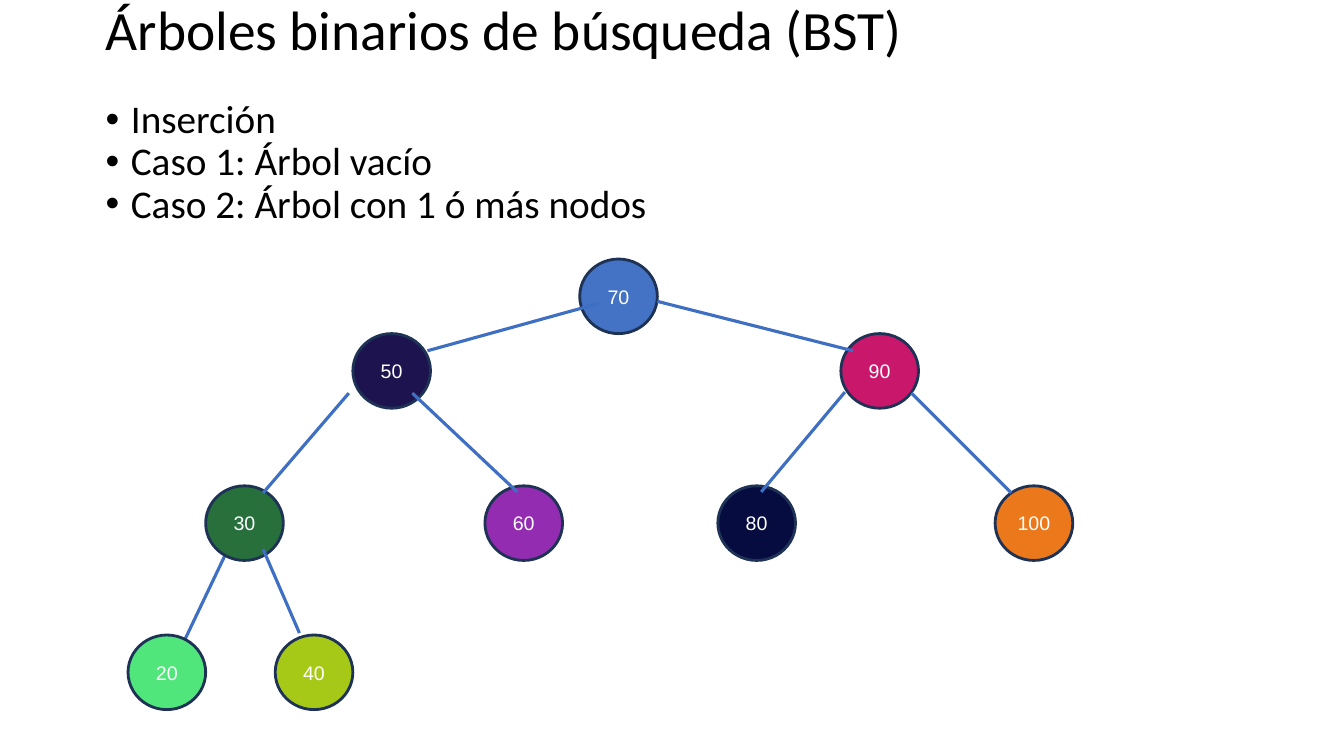
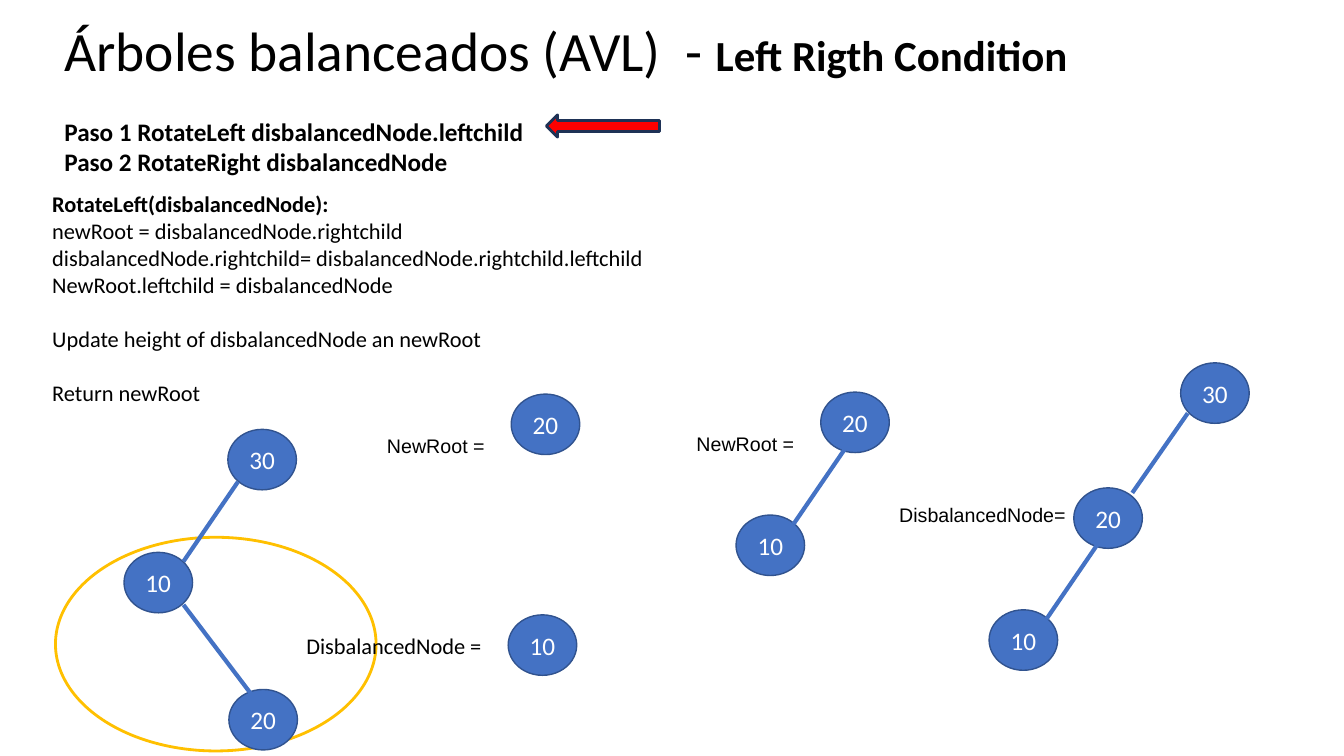
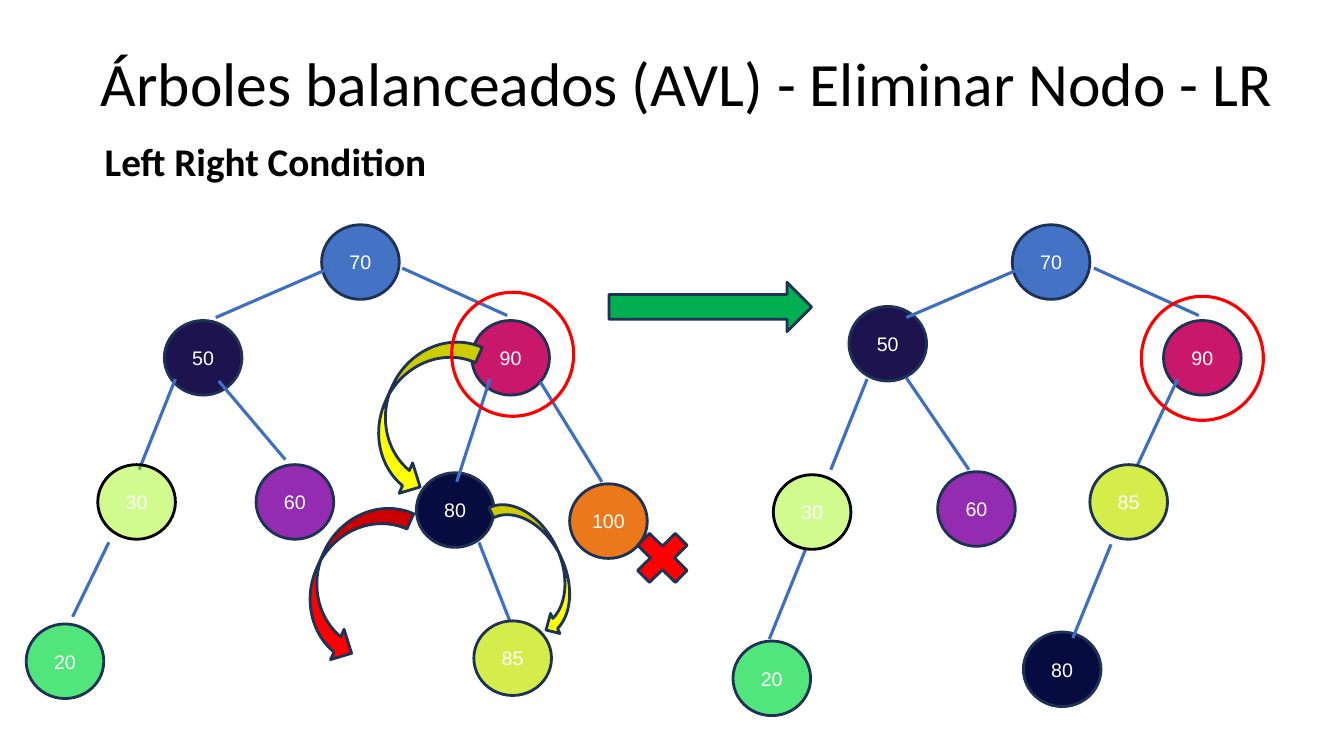
import lxml.etree
import pptx
import pptx.dml.color
import pptx.enum.shapes
import pptx.enum.text
import pptx.oxml.ns
import pptx.util

Inches = pptx.util.Inches
Pt = pptx.util.Pt
hex_rgb = pptx.dml.color.RGBColor.from_string
qn = pptx.oxml.ns.qn
kinds = pptx.enum.shapes.MSO_SHAPE
align = pptx.enum.text.PP_ALIGN
anchor = pptx.enum.text.MSO_ANCHOR

BLACK, WHITE, RED, YELLOW = "000000", "FFFFFF", "FF0000", "FFFF00"
NAVY, BLUE, EDGE = "1E3256", "4472C4", "3F6FC3"
HUES = {
    70: BLUE, 50: "1D144F", 90: "C9186B", 30: "27703C", 60: "932CB0",
    80: "060B40", 100: "EB781A", 20: "50E67B", 40: "A6C918", 85: "D5ED4A",
}
NODE = (0.77, 0.74)
DISC = (0.68, 0.6)

TITLE = {"name": "Calibri", "size": Pt(39.6)}
BODY = {"name": "Calibri", "size": Pt(28)}
STEP = {"name": "Calibri", "size": Pt(18), "bold": True}
CODE = {"name": "Calibri", "size": Pt(16)}
LABEL = {"name": "Arial", "size": Pt(14)}
VALUE = {"name": "Calibri", "size": Pt(18)}


def put(slide, at, lines=(), look=LABEL, kind=None, fill=None, line=NAVY,
        wide=2, mid=False, lead=None):
    """Add a preset shape, or a text box when no kind is given."""
    at = [Inches(val) for val in at]
    if kind is None:
        shape = slide.shapes.add_textbox(*at)
    else:
        shape = slide.shapes.add_shape(kind, *at)
        shape.shadow.inherit = False
        if fill:
            shape.fill.solid()
            shape.fill.fore_color.rgb = hex_rgb(fill)
        else:
            shape.fill.background()
        shape.line.color.rgb = hex_rgb(line)
        shape.line.width = Pt(wide)
    frame = shape.text_frame
    frame.word_wrap = kind is None
    frame.vertical_anchor = anchor.MIDDLE if kind or mid else anchor.TOP
    for num, text in enumerate(lines):
        para = frame.paragraphs[0] if num == 0 else frame.add_paragraph()
        para.alignment = align.CENTER if kind else align.LEFT
        if lead:
            para.line_spacing = lead
        run = para.add_run()
        run.text = text
        run.font.color.rgb = hex_rgb(WHITE if kind else BLACK)
        for key, val in look.items():
            setattr(run.font, key, val)
    return shape


def link(slide, edges, hue=EDGE, wide=2.25):
    for edge in edges:
        wire = slide.shapes.add_connector(
            pptx.enum.shapes.MSO_CONNECTOR.STRAIGHT, *[Inches(val) for val in edge])
        wire.line.color.rgb = hex_rgb(hue)
        wire.line.width = Pt(wide)
        lxml.etree.SubElement(wire._element.spPr, qn("a:effectLst"))


deck = pptx.Presentation()
deck.slide_width, deck.slide_height = Inches(13.33), Inches(7.5)
blank = deck.slide_layouts[6]

# Slide 1: insertion in a binary search tree
slide = deck.slides.add_slide(blank)
put(slide, (0.95, 0.01, 11.47, 0.62), ["Árboles binarios de búsqueda (BST)"],
    TITLE, mid=True, lead=0.9)
body = put(slide, (0.95, 0.94, 11.61, 6.05),
           ["Inserción", "Caso 1: Árbol vacío", "Caso 2: Árbol con 1 ó más nodos"],
           BODY, lead=0.9)
for para in body.text_frame.paragraphs:
    para.alignment = align.JUSTIFY
    props = para._p.get_or_add_pPr()
    props.set("marL", str(Inches(0.25)))
    props.set("indent", str(Inches(-0.25)))
    font = lxml.etree.SubElement(props, qn("a:buFont"))
    font.set("typeface", "Arial")
    lxml.etree.SubElement(props, qn("a:buChar")).set("char", "•")

link(slide, [(2.26, 5.45, 1.76, 6.5)])
for num, left, top in [
    (70, 5.75, 2.57), (90, 8.34, 3.31), (80, 7.12, 4.82),
    (60, 4.81, 4.82), (30, 2.04, 4.82), (50, 3.5, 3.31),
    (100, 9.87, 4.82), (40, 2.73, 6.3), (20, 1.27, 6.3),
]:
    put(slide, (left, top, *NODE), [str(num)],
        kind=kinds.FLOWCHART_CONNECTOR, fill=HUES[num])
link(slide, [
    (5.94, 3.01, 4.24, 3.48), (3.46, 3.9, 2.61, 4.89),
    (2.61, 5.45, 2.97, 6.28), (4.09, 3.9, 5.13, 4.88),
    (6.52, 2.99, 8.46, 3.48), (8.38, 3.89, 7.55, 4.88),
    (9.04, 3.9, 10.03, 4.89),
])

# Slide 2: left rotation step by step
slide = deck.slides.add_slide(blank)
put(slide, (0.55, 5.33, 3.18, 2.12), kind=kinds.OVAL, fill=WHITE, line="FFC000")
head = put(slide, (0.54, 0.23, 11.5, 0.6), ["Árboles balanceados (AVL)  - "],
           TITLE, mid=True, lead=0.9)
run = head.text_frame.paragraphs[0].add_run()
run.text = "Left Rigth Condition"
run.font.color.rgb = hex_rgb(BLACK)
for key, val in {"name": "Calibri", "size": Pt(30.6), "bold": True}.items():
    setattr(run.font, key, val)

for num, left, top in [
    (30, 2.26, 4.26), (10, 1.23, 5.48), (20, 2.27, 6.84),
    (20, 5.07, 3.91), (10, 5.04, 6.1),
    (20, 8.14, 3.89), (10, 7.3, 5.11),
    (20, 10.65, 4.84), (10, 9.81, 6.05), (30, 11.71, 3.6),
]:
    put(slide, (left, top, *DISC), [str(num)], VALUE,
        kind=kinds.OVAL, fill=BLUE, line="31538F", wide=1)
link(slide, [
    (2.36, 4.78, 1.82, 5.57), (1.82, 6, 2.54, 6.95),
    (8.41, 4.41, 7.87, 5.2), (10.92, 5.35, 10.38, 6.14),
    (11.78, 4.1, 11.23, 4.89),
], BLUE, 3)

for at, text, look in [
    ((3.74, 4.26, 1.67, 0.34), "NewRoot =", LABEL),
    ((2.94, 6.22, 2.1, 0.37), "DisbalancedNode =", CODE),
    ((6.81, 4.24, 1.67, 0.34), "NewRoot =", LABEL),
    ((8.82, 4.94, 2.17, 0.34), "DisbalancedNode=", LABEL),
]:
    put(slide, at, [text], look)
code = put(slide, (0.42, 1.84, 6.64, 2.73), [
    "RotateLeft(disbalancedNode):",
    "newRoot = disbalancedNode.rightchild",
    "disbalancedNode.rightchild= disbalancedNode.rightchild.leftchild",
    "NewRoot.leftchild = disbalancedNode",
    "Update height of disbalancedNode an newRoot",
    "Return newRoot",
], CODE)
paras = code.text_frame.paragraphs
paras[0].runs[0].font.bold = True
for para in paras[4:]:
    para.space_before = Pt(19.5)
put(slide, (0.54, 1.1, 6.64, 2.05),
    ["Paso 1 RotateLeft disbalancedNode.leftchild",
     "Paso 2 RotateRight disbalancedNode"], STEP)
put(slide, (5.42, 1.14, 1.12, 0.22), kind=kinds.LEFT_ARROW, fill=RED)

# Slide 3: deleting a node, before and after
slide = deck.slides.add_slide(blank)
put(slide, (0.9, 0.13, 12.07, 1.45),
    ["Árboles balanceados (AVL) - Eliminar Nodo - LR"],
    {**TITLE, "size": Pt(44)}, mid=True, lead=0.9)
put(slide, (0.94, 1.31, 6.39, 0.57), ["Left Right Condition"], {**BODY, "bold": True})

for num, left, top in [
    (70, 3.19, 2.23), (90, 4.68, 3.18), (80, 4.13, 4.69), (60, 2.54, 4.61),
    (50, 1.63, 3.18), (100, 5.65, 4.8), (20, 0.26, 6.19),
    (70, 10.04, 2.23), (90, 11.54, 3.18), (80, 10.15, 6.27),
    (50, 8.42, 3.04), (20, 7.27, 6.36), (60, 9.3, 4.68),
]:
    put(slide, (left, top, *NODE), [str(num)],
        kind=kinds.FLOWCHART_CONNECTOR, fill=HUES[num])
link(slide, [
    (1.08, 5.38, 0.72, 6.12), (3.27, 2.66, 2.14, 3.15),
    (1.74, 3.76, 1.38, 4.66), (2.17, 3.78, 2.83, 4.56),
    (3.99, 2.66, 5.03, 3.13), (4.86, 3.76, 4.53, 4.78),
    (5.36, 3.79, 5.97, 4.78), (4.75, 5.38, 5.06, 6.17),
    (8.99, 3.75, 9.61, 4.66), (10.13, 2.66, 8.99, 3.15),
    (8.6, 3.76, 8.24, 4.66), (10.85, 2.66, 11.89, 3.13),
    (11.68, 3.76, 11.27, 4.64), (11.02, 5.4, 10.64, 6.33),
    (7.99, 5.45, 7.63, 6.34),
])
for left, top in [(4.7, 6.16), (10.81, 4.61)]:
    put(slide, (left, top, *NODE), ["85"],
        kind=kinds.FLOWCHART_CONNECTOR, fill=HUES[85])
for left, top in [(0.97, 4.61), (7.67, 4.71)]:
    pale = put(slide, (left, top, *NODE), ["30"],
               kind=kinds.FLOWCHART_CONNECTOR, fill="9CF50C", line=BLACK)
    tint = pale._element.spPr.find(qn("a:solidFill")).find(qn("a:srgbClr"))
    lxml.etree.SubElement(tint, qn("a:alpha")).set("val", "46000")

for at, kind, fill, turn in [
    ((6.04, 2.8, 2.01, 0.49), kinds.RIGHT_ARROW, "00B050", 0),
    ((6.21, 5.18, 0.72, 0.71), kinds.MATH_MULTIPLY, RED, 0),
    ((3.3, 3.75, 1.68, 0.66), kinds.CURVED_UP_ARROW, YELLOW, 114),
    ((2.62, 5.4, 1.68, 0.66), kinds.CURVED_UP_ARROW, RED, 114),
    ((4.63, 5.38, 1.45, 0.44), kinds.CURVED_DOWN_ARROW, YELLOW, 65),
]:
    put(slide, at, kind=kind, fill=fill).rotation = turn
for left, top in [(4.48, 2.9), (11.32, 2.94)]:
    put(slide, (left, top, 1.21, 1.23), kind=kinds.OVAL, line=RED, wide=2.25)

deck.save("out.pptx")
